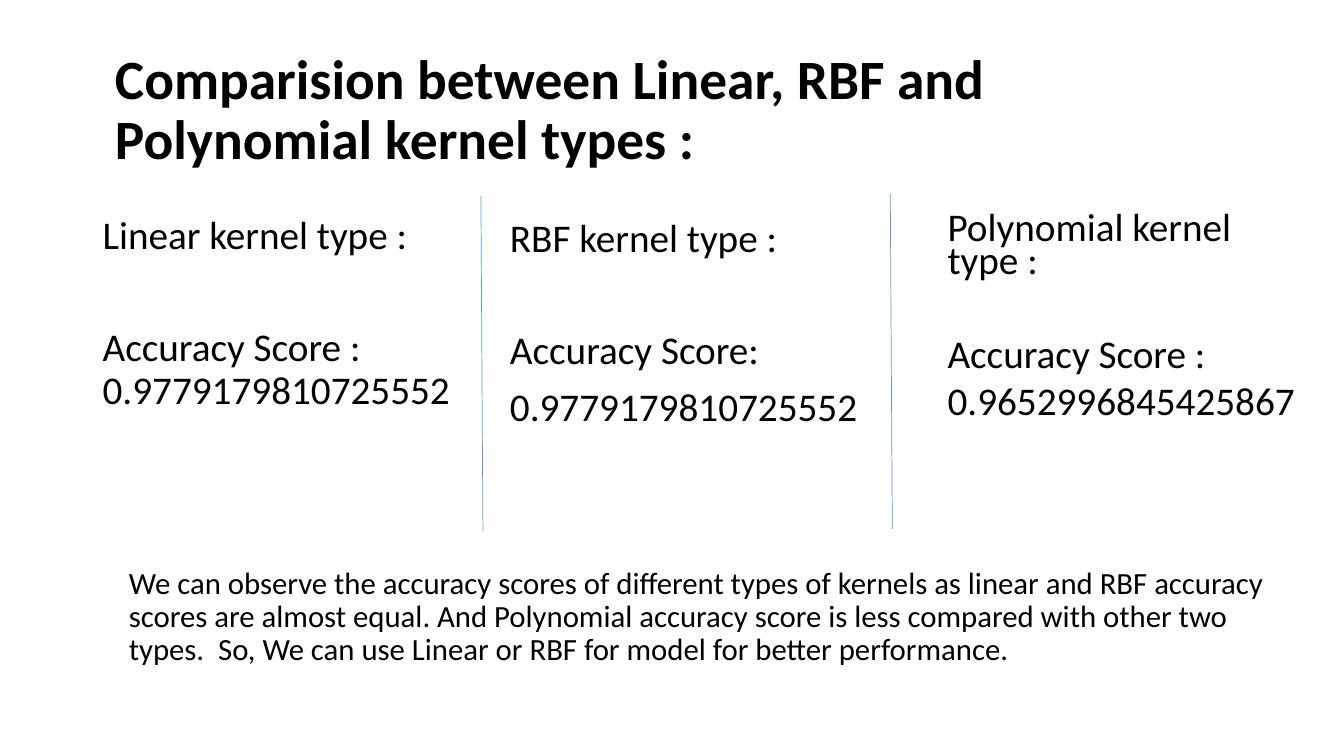
import pptx
import pptx.util
import pptx.dml.color
import pptx.enum.shapes
import pptx.enum.text
from lxml import etree

Inches, Pt = pptx.util.Inches, pptx.util.Pt
MSO_ANCHOR = pptx.enum.text.MSO_ANCHOR


def color(value):
    return pptx.dml.color.RGBColor.from_string(value)


def add_text(p, text, size=28, bold=False, fill="000000", line=0.9, before=0):
    p.line_spacing = line
    p.space_before = Pt(before)
    r = p.add_run()
    r.text = text
    r.font.name = "Calibri"
    r.font.size = Pt(size)
    r.font.bold = bold
    r.font.color.rgb = color(fill)


def place(sp, box, anchor):
    sp.left, sp.top, sp.width, sp.height = (Inches(v) for v in box)
    tf = sp.text_frame
    tf.word_wrap = True
    tf.auto_size = pptx.enum.text.MSO_AUTO_SIZE.NONE
    tf.vertical_anchor = anchor
    return tf


def add_box(s, box, anchor):
    return place(s.shapes.add_textbox(0, 0, 0, 0), box, anchor)


def add_title(s, box, text):
    tf = place(s.shapes.title, box, MSO_ANCHOR.MIDDLE)
    p = tf.paragraphs[0]
    p.alignment = pptx.enum.text.PP_ALIGN.LEFT
    add_text(p, text, size=39.6, bold=True)


def add_kernel(s, box, heading, scores, line, gap):
    # The wide gap separates the heading from the score
    tf = add_box(s, box, MSO_ANCHOR.TOP)
    add_text(tf.paragraphs[0], heading, line=line, before=10)
    for i, score in enumerate(scores):
        add_text(tf.add_paragraph(), score, line=line, before=10 if i else gap)


def add_divider(s, box):
    x, y, w, h = box
    ln = s.shapes.add_connector(pptx.enum.shapes.MSO_CONNECTOR.STRAIGHT,
                                Inches(x), Inches(y), Inches(x + w), Inches(y + h))
    ln.line.color.rgb = color("5B9BD5")
    ln.line.width = Pt(0.5)
    etree.SubElement(ln._element.spPr, pptx.oxml.ns.qn("a:effectLst"))


def add_conclusion(s, box, text):
    tf = add_box(s, box, MSO_ANCHOR.MIDDLE)
    add_text(tf.paragraphs[0], text, size=22)


prs = pptx.Presentation()
prs.slide_width, prs.slide_height = Inches(13.33), Inches(7.5)
s = prs.slides.add_slide(prs.slide_layouts[5])

# Title
add_title(s, (1.04, 0.38, 11.5, 1.45),
          "Comparision between Linear, RBF and Polynomial kernel types : ")

# Kernel columns
kernels = [
    ((0.92, 2.09, 3.76, 2.98), "Linear kernel type :",
     ["Accuracy Score : 0.9779179810725552"], 0.9, 50),
    ((4.96, 2.12, 3.67, 2.6), "RBF kernel type :",
     ["Accuracy Score:", "0.9779179810725552"], 0.9, 50),
    ((9.3, 2.09, 3.74, 2.59), "Polynomial kernel type :",
     ["Accuracy Score : ", "0.9652996845425867"], 0.7, 43),
]
for kernel in kernels:
    add_kernel(s, *kernel)

# Dividers between the columns
for x, y in [(4.77, 1.94), (8.83, 1.92)]:
    add_divider(s, (x, y, 0.02, 3.33))

# Conclusion
add_conclusion(s, (1.18, 5.4, 11.5, 1.45),
               "We can observe the accuracy scores of different types of kernels as "
               "linear and RBF accuracy scores are almost equal. And Polynomial "
               "accuracy score is less compared with other two types.  So, We can "
               "use Linear or RBF for model for better performance.")

prs.save("out.pptx")
